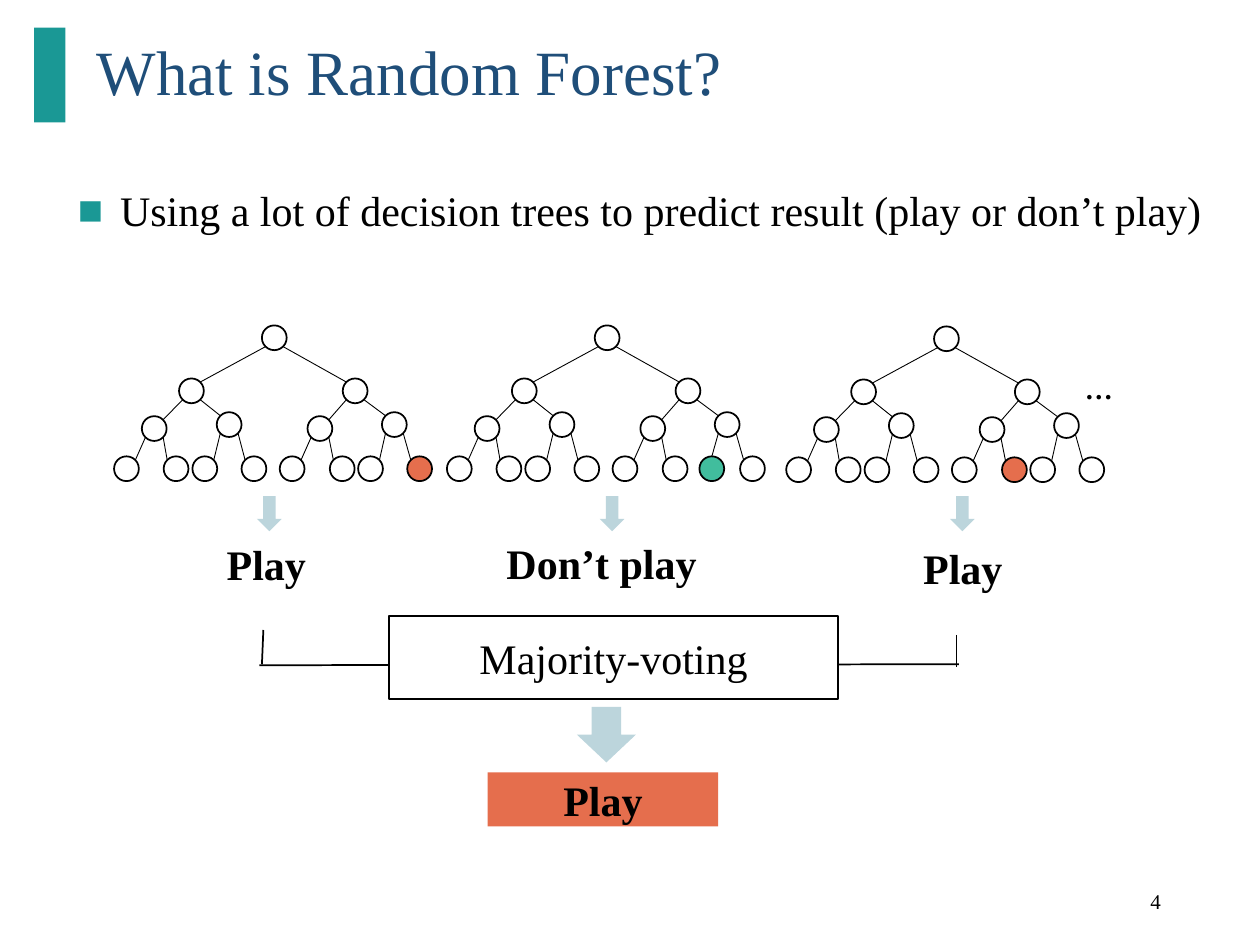
from dataclasses import dataclass, field

import pptx
import pptx.dml.color
import pptx.enum.shapes
import pptx.enum.text
import pptx.oxml.ns
import pptx.util
from lxml import etree

Cm = pptx.util.Cm
Pt = pptx.util.Pt
RGBColor = pptx.dml.color.RGBColor
Shape = pptx.enum.shapes.MSO_SHAPE
Align = pptx.enum.text.PP_ALIGN
Anchor = pptx.enum.text.MSO_ANCHOR
qn = pptx.oxml.ns.qn

FONT = "Times New Roman"
BLACK = RGBColor(0x00, 0x00, 0x00)
WHITE = RGBColor(0xFF, 0xFF, 0xFF)
TEAL = RGBColor(0x1A, 0x98, 0x95)
NAVY = RGBColor(0x1F, 0x4E, 0x79)
ORANGE = RGBColor(0xE5, 0x6E, 0x4D)
GREEN = RGBColor(0x41, 0xBD, 0x9D)
PALE_BLUE = RGBColor(0xBC, 0xD5, 0xDC)

# Node centres in cm from the root, level by level; node i has parent (i - 1) // 2
NODE_OFFSETS = [
    (0, 0),
    (-1.67, 1.07), (1.63, 1.07),
    (-2.42, 1.83), (-0.91, 1.75), (0.92, 1.83), (2.42, 1.75),
    *[(x, 2.64) for x in (-2.98, -1.98, -1.4, -0.41, 0.36, 1.37, 1.94, 2.93)],
]
NODE_SIZE = 0.5
EDGE_INSET = 0.18  # 45-degree point on a node's outline


@dataclass
class Tree:
    root_x: float
    root_y: float
    chosen: int
    colour: RGBColor
    arrow_x: float
    vote: str
    vote_box: tuple[float, float, float]  # left, top, width
    moved: dict[int, tuple[float, float]] = field(default_factory=dict)


TREES = [
    Tree(5.53, 6.81, 14, ORANGE, 5.18, "Play", (4.32, 10.74, 2.13)),
    Tree(12.24, 6.81, 13, GREEN, 12.09, "Don’t play", (9.96, 10.72, 4.6),
         {13: (2.11, 2.64)}),
    Tree(19.08, 6.83, 12, ORANGE, 19.15, "Play", (18.36, 10.82, 2.13)),
]


def format_text(frame, text: str, size: float, colour=BLACK, bold=False,
                align=Align.LEFT, anchor=Anchor.TOP) -> None:
    frame.text = text
    frame.word_wrap = True
    frame.vertical_anchor = anchor
    paragraph = frame.paragraphs[0]
    paragraph.alignment = align
    font = paragraph.runs[0].font
    font.name, font.size, font.bold = FONT, Pt(size), bold
    font.color.rgb = colour


def add_text(slide, left: float, top: float, width: float, height: float,
             text: str, size: float, **style):
    box = slide.shapes.add_textbox(Cm(left), Cm(top), Cm(width), Cm(height))
    format_text(box.text_frame, text, size, **style)
    return box


def add_block(slide, kind, left: float, top: float, width: float,
              height: float, fill=None, outlined=False):
    block = slide.shapes.add_shape(kind, Cm(left), Cm(top), Cm(width), Cm(height))
    block.shadow.inherit = False
    if fill is None:
        block.fill.background()
    else:
        block.fill.solid()
        block.fill.fore_color.rgb = fill
    if outlined:
        block.line.color.rgb = BLACK
        block.line.width = Pt(1)
    else:
        block.line.fill.background()
    return block


def add_line(slide, x1: float, y1: float, x2: float, y2: float,
             width: float = 1) -> None:
    line = slide.shapes.add_connector(
        pptx.enum.shapes.MSO_CONNECTOR.STRAIGHT, Cm(x1), Cm(y1), Cm(x2), Cm(y2))
    line.line.color.rgb = BLACK
    line.line.width = Pt(width)
    etree.SubElement(line._element.spPr, qn("a:effectLst"))


def add_bullet(paragraph, colour: RGBColor) -> None:
    properties = paragraph._p.get_or_add_pPr()
    properties.set("marL", str(Cm(0.64)))
    properties.set("indent", str(-Cm(0.64)))
    bullet_colour = etree.SubElement(properties, qn("a:buClr"))
    etree.SubElement(bullet_colour, qn("a:srgbClr"), val=str(colour))
    etree.SubElement(properties, qn("a:buFont"), typeface=FONT)
    etree.SubElement(properties, qn("a:buChar"), char="■")


def draw_tree(slide, tree: Tree) -> None:
    centres = []
    for node, offset in enumerate(NODE_OFFSETS):
        dx, dy = tree.moved.get(node, offset)
        x, y = tree.root_x + dx, tree.root_y + dy
        centres.append((x, y))
        add_block(slide, Shape.OVAL, x - NODE_SIZE / 2, y - NODE_SIZE / 2,
                  NODE_SIZE, NODE_SIZE,
                  fill=tree.colour if node == tree.chosen else None, outlined=True)
        if node == 0:
            continue
        parent_x, parent_y = centres[(node - 1) // 2]
        side = -EDGE_INSET if node % 2 else EDGE_INSET
        # A moved leaf sits under its parent, so its edge ends at the top
        if node in tree.moved:
            end = (x, y - NODE_SIZE / 2)
        else:
            end = (x - side, y - EDGE_INSET)
        add_line(slide, parent_x + side, parent_y + EDGE_INSET, *end, width=0.5)

    add_block(slide, Shape.DOWN_ARROW, tree.arrow_x, 10, 0.5, 0.71, PALE_BLUE)
    left, top, width = tree.vote_box
    add_text(slide, left, top, width, 1.27, tree.vote, 24, bold=True)


def main() -> None:
    deck = pptx.Presentation()
    deck.slide_width, deck.slide_height = Cm(25.4), Cm(19.05)
    slide = deck.slides.add_slide(deck.slide_layouts[5])

    # Title and its accent bar
    add_block(slide, Shape.RECTANGLE, 0.69, 0.56, 0.63, 1.91, TEAL)
    title = slide.shapes.title
    title.left, title.top = Cm(1.7), Cm(0.56)
    title.width, title.height = Cm(21.51), Cm(1.91)
    format_text(title.text_frame, "What is Random Forest?", 36, colour=NAVY,
                anchor=Anchor.MIDDLE)
    title.text_frame.paragraphs[0].line_spacing = 0.9

    # Statement
    statement = add_text(
        slide, 1.32, 3.71, 23.8, 12.09,
        " Using a lot of decision trees to predict result (play or don’t play)", 24)
    statement_line = statement.text_frame.paragraphs[0]
    statement_line.line_spacing = 0.9
    add_bullet(statement_line, TEAL)

    # Forest
    for tree in TREES:
        draw_tree(slide, tree)
    add_text(slide, 21.62, 7.37, 1.14, 1.12, "…", 16, bold=True)

    # Votes gathered by the majority box
    add_line(slide, 5.23, 13.41, 19.33, 13.39)
    add_line(slide, 5.31, 12.7, 5.28, 13.39)
    add_line(slide, 19.28, 12.8, 19.28, 13.44)
    voting = add_block(slide, Shape.RECTANGLE, 7.85, 12.42, 9.04, 1.68, WHITE,
                       outlined=True)
    format_text(voting.text_frame, "Majority-voting", 24, align=Align.CENTER,
                anchor=Anchor.MIDDLE)

    # Final result
    add_block(slide, Shape.DOWN_ARROW, 11.63, 14.25, 1.19, 1.12, PALE_BLUE)
    result = add_block(slide, Shape.RECTANGLE, 9.83, 15.57, 4.65, 1.09, ORANGE)
    format_text(result.text_frame, "Play", 24, bold=True, align=Align.CENTER,
                anchor=Anchor.MIDDLE)

    # Page number
    add_text(slide, 17.93, 17.65, 5.72, 1.02, "4", 12, align=Align.RIGHT,
             anchor=Anchor.MIDDLE)

    deck.save("out.pptx")


if __name__ == "__main__":
    main()
